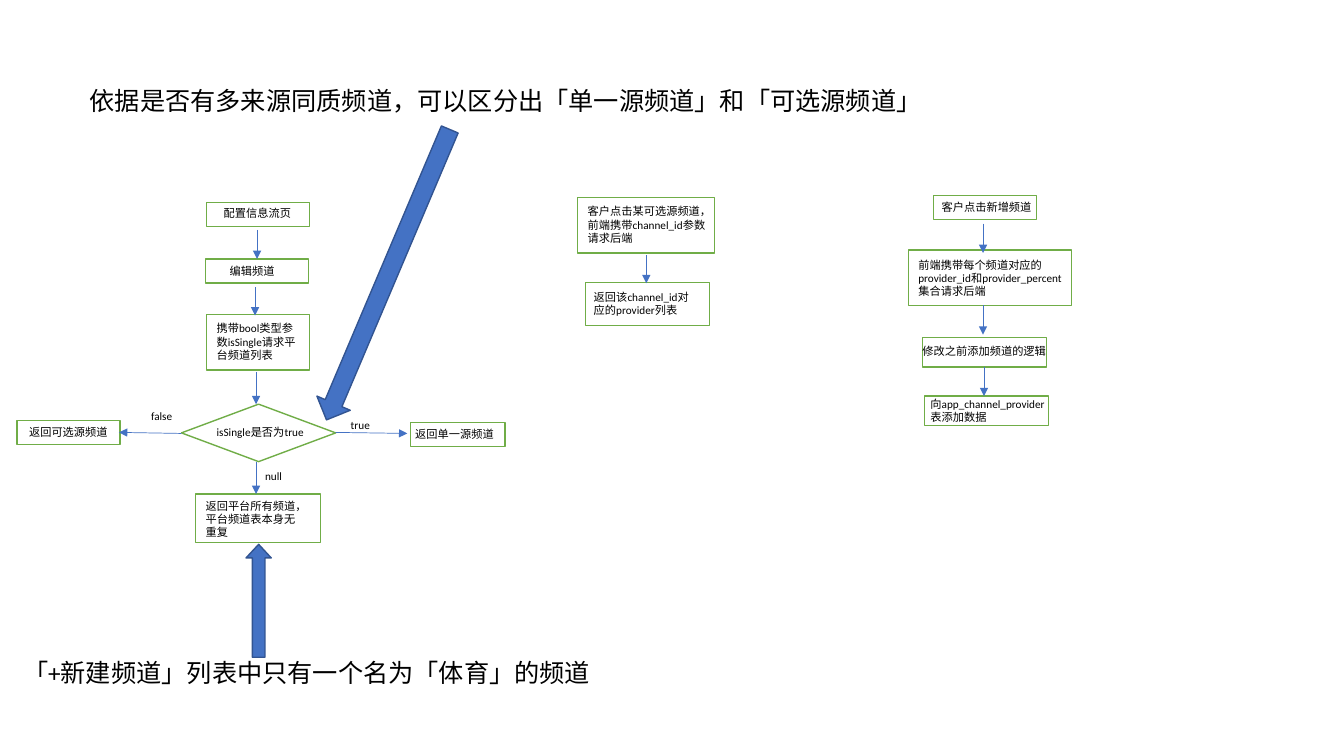
import pptx
import pptx.util
import pptx.dml.color
import pptx.enum.shapes
import pptx.enum.text
import pptx.oxml
import pptx.oxml.ns

RGBColor = pptx.dml.color.RGBColor
SHAPES = pptx.enum.shapes.MSO_SHAPE
WHITE = RGBColor(0xFF, 0xFF, 0xFF)
BLACK = RGBColor(0, 0, 0)
GREEN = RGBColor(0x70, 0xAD, 0x47)
BLUE = RGBColor(0x44, 0x72, 0xC4)
DARK_BLUE = RGBColor(0x32, 0x54, 0x91)
FONT = "Calibri"
STEP_SIZE, HEADING_SIZE = 8, 18

# The grid has 133.3 columns and 75 rows
CELL = pptx.util.Inches(0.1)

# Steps: frame and label area as (column, row, columns, rows), then wording
LIST_STEPS = [
    ((20.5, 20.1, 10.2, 2.4), (21.2, 20, 9.5, 2.4), "配置信息流页"),
    ((20.4, 25.7, 10.2, 2.4), (21.8, 25.7, 7.2, 2.4), "编辑频道"),
    ((20.5, 31.2, 10.2, 5.5), (20.5, 31.4, 10, 5), "携带bool类型参数isSingle请求平台频道列表"),
    ((1.7, 41.7, 10.2, 2.4), (1.9, 41.7, 10, 2.4), "返回可选源频道"),
    ((40.7, 41.9, 9.4, 2.4), (40.2, 41.9, 10.6, 2.4), "返回单一源频道"),
    ((19.4, 49, 12.4, 4.8), (19.4, 49, 11.1, 5), "返回平台所有频道，平台频道表本身无重复"),
]
SELECT_STEPS = [
    ((57.3, 19.6, 13.6, 5.5), (57.3, 19.8, 14.3, 5), "客户点击某可选源频道，前端携带channel_id参数请求后端"),
    ((58.1, 28, 12.3, 4.3), (57.9, 28.3, 12.5, 3.7), "返回该channel_id对应的provider列表"),
]
ADD_STEPS = [
    ((92.6, 19.4, 10.2, 2.4), (92.4, 19.4, 13.2, 2.4), "客户点击新增频道"),
    ((90.1, 24.8, 16.2, 5.5), (90.1, 25.1, 16.2, 5), "前端携带每个频道对应的provider_id和provider_percent集合请求后端"),
    ((91.5, 33.5, 12.3, 2.9), (90.5, 33.7, 14.3, 2.4), "修改之前添加频道的逻辑"),
    ((91.7, 39.3, 12.3, 2.9), (91.3, 38.9, 14.3, 3.7), "向app_channel_provider表添加数据"),
]
DECISION = ((18, 40.1, 15.3, 5.7), (20.5, 41.7, 13.2, 2.4), "isSingle是否为true")
BRANCH_LABELS = [
    ((14, 40.1, 7.2, 2.4), "false"),
    ((33.8, 41, 5.1, 2.4), "true"),
    ((25.3, 46.1, 7.2, 2.4), "null"),
]

# Flow arrows: start column and row, end column and row
DOWN_FLOWS = [(25.5, 22.8, 25.7), (25.3, 28.5, 31.3), (25.4, 36.9, 40.1), (25.4, 45.8, 49),
              (64.1, 25.3, 28.1),
              (97.5, 22.2, 25.1), (97.5, 30.3, 33.2), (97.6, 36.4, 39.3)]
SIDE_FLOWS = [(18, 43, 11.8, 42.9), (33.3, 42.9, 40.4, 43)]


def on_grid(*cells):
    return [round(cell * CELL) for cell in cells]


def write(frame, wording, size):
    frame.word_wrap = True
    frame.auto_size = pptx.enum.text.MSO_AUTO_SIZE.NONE
    frame.vertical_anchor = pptx.enum.text.MSO_ANCHOR.TOP
    frame.text = wording
    paragraph = frame.paragraphs[0]
    paragraph.alignment = pptx.enum.text.PP_ALIGN.LEFT
    paragraph.font.name = FONT
    paragraph.font.size = pptx.util.Pt(size)
    paragraph.font.color.rgb = BLACK


def add_label(slide, area, wording, size=STEP_SIZE):
    label = slide.shapes.add_textbox(*on_grid(*area))
    write(label.text_frame, wording, size)


def add_outline(slide, kind, area, fill, line):
    outline = slide.shapes.add_shape(kind, *on_grid(*area))
    outline.shadow.inherit = False
    outline.fill.solid()
    outline.fill.fore_color.rgb = fill
    outline.line.color.rgb = line
    outline.line.width = pptx.util.Pt(1)
    return outline


def add_step(slide, frame, label_area, wording, kind=SHAPES.RECTANGLE):
    add_outline(slide, kind, frame, WHITE, GREEN)
    add_label(slide, label_area, wording)


def add_flow(slide, *ends):
    flow = slide.shapes.add_connector(pptx.enum.shapes.MSO_CONNECTOR.STRAIGHT, *on_grid(*ends))
    flow.line.color.rgb = BLUE
    flow.line.width = pptx.util.Pt(0.5)
    tip = pptx.oxml.parse_xml(
        '<a:tailEnd %s type="triangle"/>' % pptx.oxml.ns.nsdecls("a"))
    flow.line._get_or_add_ln().append(tip)
    no_shadow = pptx.oxml.parse_xml("<a:effectLst %s/>" % pptx.oxml.ns.nsdecls("a"))
    flow._element.spPr.append(no_shadow)


def add_pointer(slide, area, rotation, head=0.5):
    pointer = add_outline(slide, SHAPES.DOWN_ARROW, area, BLUE, DARK_BLUE)
    pointer.rotation = rotation
    pointer.adjustments[1] = head


def add_headline(slide, area, wording):
    headline = slide.shapes.title
    headline.left, headline.top, headline.width, headline.height = on_grid(*area)
    write(headline.text_frame, wording, HEADING_SIZE)


def main():
    deck = pptx.Presentation()
    deck.slide_width = pptx.util.Inches(13.33)
    deck.slide_height = pptx.util.Inches(7.5)
    slide = deck.slides.add_slide(deck.slide_layouts.get_by_name("Title Only"))

    add_headline(slide, (7.9, 8, 87.8, 4),
                 "依据是否有多来源同质频道，可以区分出「单一源频道」和「可选源频道」")

    # The three flowcharts
    for step in LIST_STEPS + SELECT_STEPS + ADD_STEPS:
        add_step(slide, *step)
    add_step(slide, *DECISION, kind=SHAPES.FLOWCHART_DECISION)
    for column, start, end in DOWN_FLOWS:
        add_flow(slide, column, start, column, end)
    for ends in SIDE_FLOWS:
        add_flow(slide, *ends)
    for area, wording in BRANCH_LABELS:
        add_label(slide, area, wording)

    # Remarks pointing into the first flowchart
    add_pointer(slide, (36.7, 11.6, 3.6, 31.3), 23)
    add_label(slide, (1.3, 64.7, 58.8, 4), "「+新建频道」列表中只有一个名为「体育」的频道", HEADING_SIZE)
    add_pointer(slide, (24.4, 54, 2.5, 11.2), 180, 0.54)

    deck.save("out.pptx")


main()
